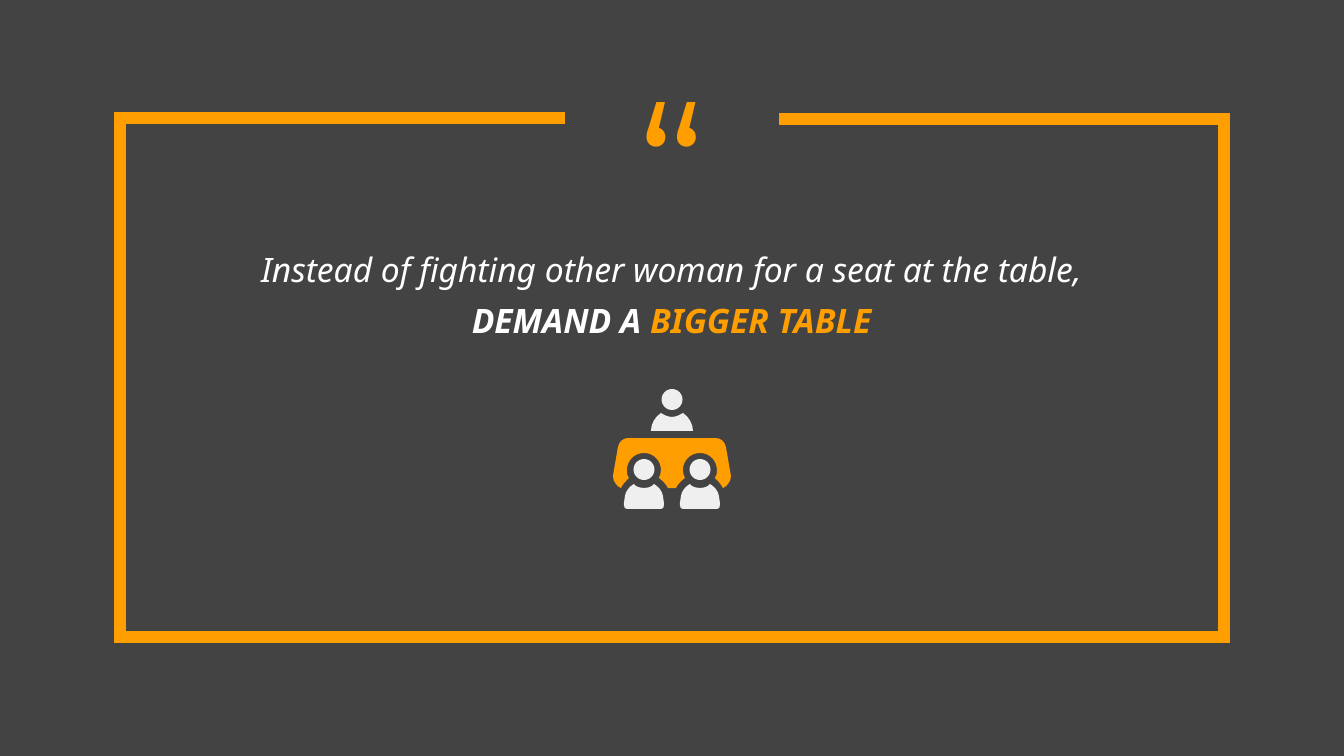
from dataclasses import dataclass

from lxml import etree
from pptx import Presentation
from pptx import util as u
from pptx.dml.color import RGBColor
from pptx.enum import shapes, text
from pptx.oxml import ns

PX = 914400 / 134.4
COLORS = {"background": "434343", "accent": "FF9E00", "person": "EFEFEF", "text": "FFFFFF"}

Point = tuple[int, int]
Segment = tuple[Point, ...]


@dataclass(frozen=True)
class HalfOutline:
    """Left half of a symmetric outline, with x measured from its axis.

    A segment of one point is a line, a segment of three is a Bézier curve.
    """
    start: Point
    segments: tuple[Segment, ...]


@dataclass(frozen=True)
class Person:
    axis: int
    head_top: int
    torso: HalfOutline


CENTER = 672
HEAD = 21
FRONT_OFFSET = 28

FRONT_TORSO = HalfOutline((0, 488), (
    ((-4, 488), (-8, 487), (-10, 484)),
    ((-15, 487), (-18, 491), (-19, 496)),
    ((-19, 499), (-20, 501), (-20, 503)),
    ((-20, 505),),
    ((-20, 508), (-19, 509), (-17, 509)),
))
BACK_TORSO = HalfOutline((0, 417), (
    ((-4, 417), (-8, 415), (-11, 413)),
    ((-17, 417), (-21, 424), (-21, 431)),
))
TABLE = HalfOutline((0, 438), (
    ((-44, 438),),
    ((-49, 438), (-53, 442), (-54, 447)),
    ((-59, 476),),
    ((-59, 479), (-58, 482), (-56, 484)),
    ((-55, 486), (-53, 487), (-51, 488)),
    ((-49, 484), (-46, 481), (-43, 478)),
    ((-45, 476), (-45, 473), (-45, 470)),
    ((-45, 461), (-38, 453), (-28, 453)),
    ((-18, 453), (-11, 461), (-11, 470)),
    ((-11, 473), (-12, 476), (-13, 478)),
    ((-9, 481), (-6, 484), (-4, 488)),
))
PEOPLE = (
    Person(CENTER, 389, BACK_TORSO),
    Person(CENTER - FRONT_OFFSET, 459, FRONT_TORSO),
    Person(CENTER + FRONT_OFFSET, 459, FRONT_TORSO),
)
FRAME = [(565, 118), (120, 118), (120, 637), (1224, 637), (1224, 119), (779, 119)]


def px(length: float) -> u.Emu:
    return u.Emu(round(length * PX))


def color(name: str) -> RGBColor:
    return RGBColor.from_string(COLORS[name])


def full_outline(half: HalfOutline) -> list[Segment]:
    """Follow the left half down, cross the axis, and come back up its mirror image."""
    chain = [half.start] + [point for segment in half.segments for point in segment]
    mirrored = [(-x, y) for x, y in reversed(chain)]
    segments = [*half.segments, (mirrored[0],)]
    position = 1
    for segment in reversed(half.segments):
        segments.append(tuple(mirrored[position:position + len(segment)]))
        position += len(segment)
    return segments


def add_freeform(container, points: list[Point], close: bool):
    corners = [(px(x), px(y)) for x, y in points]
    builder = container.build_freeform(*corners[0], scale=1.0)
    builder.add_line_segments(corners[1:], close=close)
    shape = builder.convert_to_shape()
    shape.shadow.inherit = False
    return shape


def add_symmetric_shape(container, half: HalfOutline, axis: int, fill: str) -> None:
    segments = full_outline(half)
    points = [half.start] + [point for segment in segments for point in segment]
    shape = add_freeform(container, [(axis + x, y) for x, y in points], close=True)
    lines = iter(list(shape.element.iter(ns.qn("a:lnTo"))))
    for segment in segments:
        steps = [next(lines) for _ in segment]
        if len(steps) == 3:
            curve = etree.Element(ns.qn("a:cubicBezTo"))
            steps[0].addprevious(curve)
            for step in steps:
                curve.append(step[0])
                step.getparent().remove(step)
    fill_shape(shape, fill)


def fill_shape(shape, name: str) -> None:
    shape.shadow.inherit = False
    shape.fill.solid()
    shape.fill.fore_color.rgb = color(name)
    shape.line.fill.background()


def add_frame(slide) -> None:
    frame = add_freeform(slide.shapes, FRAME, close=False)
    frame.fill.background()
    frame.line.color.rgb = color("accent")
    frame.line.width = u.Pt(6)
    line = frame.element.spPr.find(ns.qn("a:ln"))
    etree.SubElement(line, ns.qn("a:miter"), lim="800000")


def add_person(group, person: Person) -> None:
    head = group.shapes.add_shape(shapes.MSO_SHAPE.OVAL, px(person.axis - HEAD / 2),
                                  px(person.head_top), px(HEAD), px(HEAD))
    fill_shape(head, "person")
    add_symmetric_shape(group.shapes, person.torso, person.axis, "person")


def add_meeting_icon(slide) -> None:
    group = slide.shapes.add_group_shape()
    add_symmetric_shape(group.shapes, TABLE, CENTER, "accent")
    for person in PEOPLE:
        add_person(group, person)


def place_text_shape(shape, left: int, top: int, width: int, height: int, anchor) -> None:
    shape.left, shape.top, shape.width, shape.height = map(px, (left, top, width, height))
    frame = shape.text_frame
    frame.word_wrap = True
    frame.auto_size = text.MSO_AUTO_SIZE.NONE
    frame.vertical_anchor = anchor
    frame.margin_left = frame.margin_right = u.Inches(0.1)
    frame.margin_top = frame.margin_bottom = u.Inches(0.1)


def write(paragraph, words: str, *, size: int = 18, font: str = "Noto Sans",
          fill: str = "text", bold: bool = False, italic: bool = False) -> None:
    paragraph.alignment = text.PP_ALIGN.CENTER
    run = paragraph.add_run()
    run.text = words
    run.font.size = u.Pt(size)
    run.font.name = font
    run.font.bold = bold
    run.font.italic = italic
    run.font.color.rgb = color(fill)


def add_quote(slide) -> None:
    mark = slide.shapes.add_textbox(0, 0, 0, 0)
    place_text_shape(mark, 566, 43, 212, 95, text.MSO_ANCHOR.TOP)
    write(mark.text_frame.paragraphs[0], "“", size=96, font="Montserrat", fill="accent")

    quote = slide.shapes.title
    place_text_shape(quote, 211, 234, 921, 121, text.MSO_ANCHOR.MIDDLE)
    opening = quote.text_frame.paragraphs[0]
    demand = quote.text_frame.add_paragraph()
    for paragraph in (opening, demand):
        paragraph.space_before = u.Pt(6)
        paragraph.line_spacing = 1.0
    write(opening, "Instead of fighting other woman for a seat at the table,", italic=True)
    write(demand, "DEMAND A ", bold=True, italic=True)
    write(demand, "BIGGER TABLE", fill="accent", bold=True, italic=True)


def main() -> None:
    presentation = Presentation()
    presentation.slide_width, presentation.slide_height = px(1344), px(756)
    slide = presentation.slides.add_slide(presentation.slide_layouts[5])
    slide.background.fill.solid()
    slide.background.fill.fore_color.rgb = color("background")
    add_frame(slide)
    add_quote(slide)
    add_meeting_icon(slide)
    presentation.save("out.pptx")


if __name__ == "__main__":
    main()
